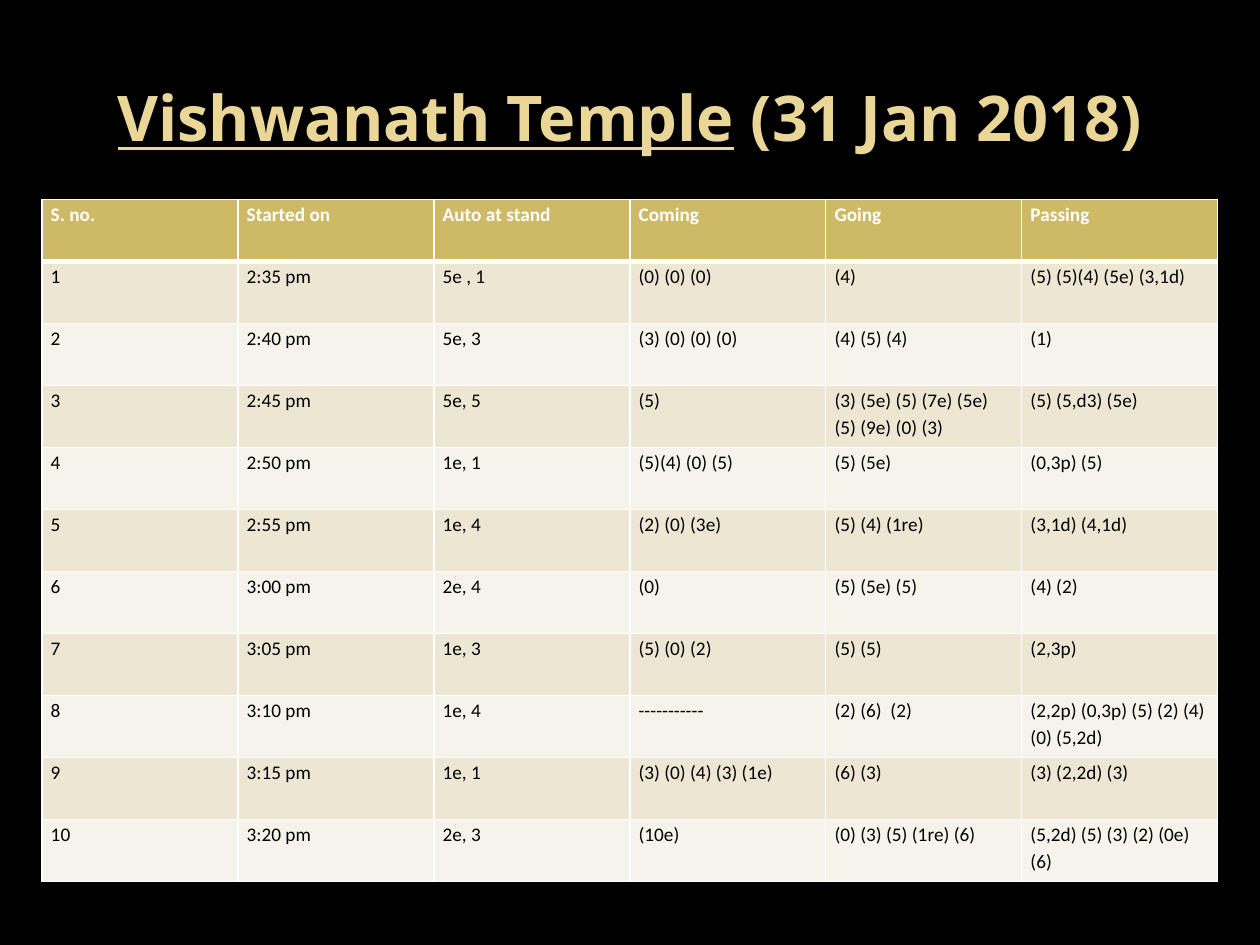
from dataclasses import dataclass

from lxml.etree import SubElement
from pptx import Presentation
from pptx.dml.color import RGBColor
from pptx.enum.text import MSO_ANCHOR, PP_ALIGN
from pptx.oxml.ns import qn
from pptx.util import Inches, Pt


@dataclass(frozen=True)
class Theme:
    background: str = "000000"
    title: str = "EAD696"
    header: str = "CEB966"
    header_text: str = "FFFFFF"
    body_text: str = "000000"
    bands: tuple = ("EDE6D3", "F6F3EA")
    border: str = "FFFFFF"
    title_font: str = "Open Sans"
    table_font: str = "Calibri"
    title_size: int = 36
    table_size: int = 11
    thin: int = 1
    thick: int = 3


class SlideBuilder:
    """Places elements by percentages of the slide's width and height."""

    def __init__(self, prs, theme):
        self.prs, self.theme = prs, theme
        self.slide = prs.slides.add_slide(prs.slide_layouts[6])
        self.paint(self.slide.background.fill, theme.background)

    def paint(self, fill, color):
        fill.solid()
        fill.fore_color.rgb = RGBColor.from_string(color)

    def box(self, left, top, width, height):
        w, h = self.prs.slide_width / 100, self.prs.slide_height / 100
        return [round(v) for v in (left * w, top * h, width * w, height * h)]

    def style(self, font, name, size, color, bold):
        font.name, font.size, font.bold = name, Pt(size), bold
        font.color.rgb = RGBColor.from_string(color)

    def title(self, place, underlined, plain):
        t = self.theme
        tf = self.slide.shapes.add_textbox(*self.box(*place)).text_frame
        tf.word_wrap = True
        tf.vertical_anchor = MSO_ANCHOR.MIDDLE
        p = tf.paragraphs[0]
        p.alignment = PP_ALIGN.CENTER
        for text, underline in ((underlined, True), (plain, False)):
            r = p.add_run()
            r.text = text
            self.style(r.font, t.title_font, t.title_size, t.title, True)
            r.font.underline = underline

    def borders(self, cell, top, bottom):
        thin = self.theme.thin
        tc_pr = cell._tc.get_or_add_tcPr()
        sides = (("L", thin), ("R", thin), ("T", top), ("B", bottom))
        for i, (side, width) in enumerate(sides):
            ln = SubElement(tc_pr, qn(f"a:ln{side}"), w=str(Pt(width)))
            fill = SubElement(ln, qn("a:solidFill"))
            SubElement(fill, qn("a:srgbClr"), val=self.theme.border)
            tc_pr.insert(i, ln)  # borders come before the cell fill

    def cell(self, cell, text, row):
        t = self.theme
        is_header = row == 0
        cell.margin_left = cell.margin_right = Inches(0.07)
        cell.margin_top = cell.margin_bottom = 0
        self.paint(cell.fill, t.header if is_header else t.bands[(row - 1) % 2])
        self.borders(cell, t.thick if row == 1 else t.thin,
                     t.thick if is_header else t.thin)
        p = cell.text_frame.paragraphs[0]
        p.text = text
        p.line_spacing = 1.15
        self.style(p.font, t.table_font, t.table_size,
                   t.header_text if is_header else t.body_text, is_header)

    def table(self, place, rows):
        shape = self.slide.shapes.add_table(
            len(rows), len(rows[0]), *self.box(*place))
        for i, values in enumerate(rows):
            for j, text in enumerate(values):
                self.cell(shape.table.cell(i, j), text, i)


HEADER = ("S. no.", "Started on", "Auto at stand", "Coming", "Going", "Passing")
COUNTS = (
    ("5e , 1", "(0) (0) (0)", "(4)", "(5) (5)(4) (5e) (3,1d)"),
    ("5e, 3", "(3) (0) (0) (0)", "(4) (5) (4)", "(1)"),
    ("5e, 5", "(5)", "(3) (5e) (5) (7e) (5e) (5) (9e) (0) (3)", "(5) (5,d3) (5e)"),
    ("1e, 1", "(5)(4) (0) (5)", "(5) (5e)", "(0,3p) (5)"),
    ("1e, 4", "(2) (0) (3e)", "(5) (4) (1re)", "(3,1d) (4,1d)"),
    ("2e, 4", "(0)", "(5) (5e) (5)", "(4) (2)"),
    ("1e, 3", "(5) (0) (2)", "(5) (5)", "(2,3p)"),
    ("1e, 4", "-----------", "(2) (6)  (2)", "(2,2p) (0,3p) (5) (2) (4) (0) (5,2d)"),
    ("1e, 1", "(3) (0) (4) (3) (1e)", "(6) (3)", "(3) (2,2d) (3)"),
    ("2e, 3", "(10e)", "(0) (3) (5) (1re) (6)", "(5,2d) (5) (3) (2) (0e) (6)"),
)


def start_time(index):
    """Counts start at 2:35 pm and repeat every five minutes."""
    hour, minute = divmod(2 * 60 + 35 + 5 * index, 60)
    return f"{hour}:{minute:02d} pm"


def main():
    prs = Presentation()
    prs.slide_width, prs.slide_height = Inches(10), Inches(7.5)
    s = SlideBuilder(prs, Theme())

    # Title
    s.title((5, 4, 90, 16.67), "Vishwanath Temple", " (31 Jan 2018)")

    # Traffic counts
    rows = [(str(i + 1), start_time(i), *counts) for i, counts in enumerate(COUNTS)]
    s.table((3.33, 21.11, 93.33, 72.22), [HEADER, *rows])

    prs.save("out.pptx")


if __name__ == "__main__":
    main()
